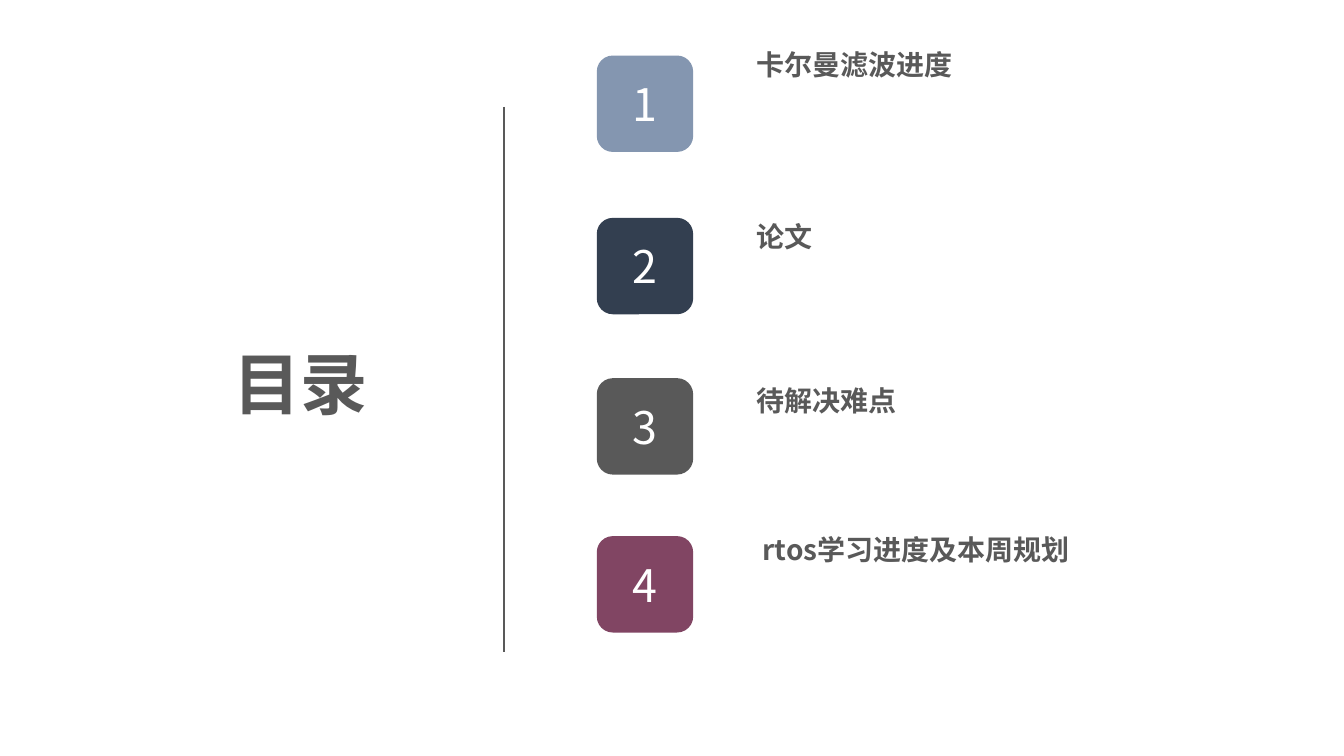
from lxml.etree import SubElement
from pptx import Presentation
from pptx.dml.color import RGBColor
from pptx.enum.shapes import MSO_CONNECTOR, MSO_SHAPE
from pptx.enum.text import MSO_ANCHOR, PP_ALIGN
from pptx.oxml.ns import qn
from pptx.util import Cm, Pt

FONT = "Noto Sans CJK SC"
GREY = "595959"
TILE_LEFT, TILE_SIZE = 15.04, 2.43
LABEL_WIDTH, LABEL_HEIGHT = 11.66, 1.02

# Number, tile colour, tile top, label, label left, label top (cm)
ENTRIES = [
    ("1", "8496B0", 1.4, "卡尔曼滤波进度", 18.82, 1.12),
    ("2", "333F50", 5.49, "论文", 18.82, 5.44),
    ("3", GREY, 9.53, "待解决难点", 18.82, 9.58),
    ("4", "814563", 13.51, "rtos学习进度及本周规划", 18.97, 13.34),
]


def color(hex_value):
    return RGBColor.from_string(hex_value)


def set_text(shape, text, size, text_color, bold, align, anchor):
    frame = shape.text_frame
    frame.text = text
    frame.word_wrap = True
    frame.vertical_anchor = anchor
    paragraph = frame.paragraphs[0]
    paragraph.alignment = align
    font = paragraph.runs[0].font
    formats = {"name": FONT, "size": Pt(size), "bold": bold}
    for name, value in formats.items():
        setattr(font, name, value)
    font.color.rgb = color(text_color)
    # Chinese characters take the East Asian typeface
    run_properties = paragraph.runs[0]._r.get_or_add_rPr()
    SubElement(run_properties, qn("a:ea"), typeface=FONT)


def place_title(slide, text):
    title = slide.shapes.title
    box = {"left": 1.6, "top": 8.48, "width": 11.96, "height": 2.31}
    for name, value in box.items():
        setattr(title, name, Cm(value))
    set_text(title, text, 48, GREY, True, PP_ALIGN.CENTER, MSO_ANCHOR.MIDDLE)


def add_divider(slide, x, top, bottom):
    divider = slide.shapes.add_connector(
        MSO_CONNECTOR.STRAIGHT, Cm(x), Cm(top), Cm(x), Cm(bottom))
    divider.line.color.rgb = color(GREY)
    divider.line.width = Pt(1.25)
    SubElement(divider._element.spPr, qn("a:effectLst"))


def add_tile(slide, number, fill, top):
    tile = slide.shapes.add_shape(
        MSO_SHAPE.ROUNDED_RECTANGLE,
        Cm(TILE_LEFT), Cm(top), Cm(TILE_SIZE), Cm(TILE_SIZE))
    tile.shadow.inherit = False
    tile.fill.solid()
    tile.fill.fore_color.rgb = color(fill)
    tile.line.fill.background()
    set_text(tile, number, 32, "FFFFFF", False,
             PP_ALIGN.CENTER, MSO_ANCHOR.MIDDLE)


def add_label(slide, text, left, top):
    label = slide.shapes.add_textbox(
        Cm(left), Cm(top), Cm(LABEL_WIDTH), Cm(LABEL_HEIGHT))
    set_text(label, text, 20, GREY, True, PP_ALIGN.LEFT, MSO_ANCHOR.MIDDLE)


def main():
    presentation = Presentation()
    presentation.slide_width = Cm(33.87)
    presentation.slide_height = Cm(19.05)
    title_only = presentation.slide_layouts.get_by_name("Title Only")
    slide = presentation.slides.add_slide(title_only)

    # Heading and divider
    place_title(slide, "目录")
    add_divider(slide, 12.7, 2.69, 16.43)

    # Contents entries
    for number, fill, tile_top, text, label_left, label_top in ENTRIES:
        add_tile(slide, number, fill, tile_top)
        add_label(slide, text, label_left, label_top)

    presentation.save("out.pptx")


if __name__ == "__main__":
    main()
